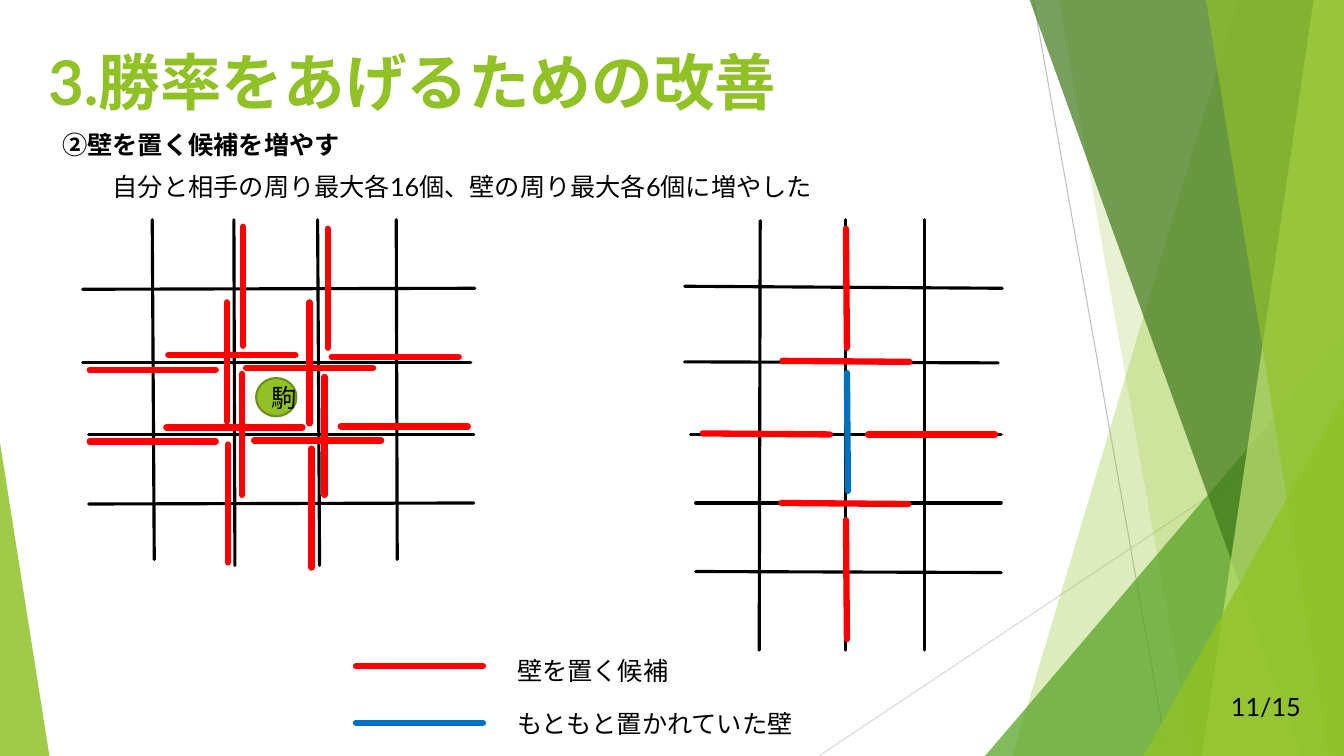
from lxml import etree
from pptx import Presentation
from pptx import util as u
from pptx.dml.color import RGBColor
from pptx.enum import lang, shapes, text
from pptx.oxml import ns

PX = 9144  # EMU per px, 100 px to the inch
WIDTH, HEIGHT = 1333, 750
FONT = "Lato"
BLACK, GREEN, RED, BLUE = "000000", "90C226", "FF0000", "0070C0"
GRID_WEIGHT, WALL_WEIGHT = 2.25, 4.5


def px(*lengths):
    return [u.Emu(length * PX) for length in lengths]


def color(hex_string):
    return RGBColor.from_string(hex_string)


def paint(shape, fill, opacity=100):
    shape.shadow.inherit = False
    shape.fill.solid()
    shape.fill.fore_color.rgb = color(fill)
    shape.line.fill.background()
    if opacity < 100:
        fill_color = shape._element.spPr.find(ns.qn("a:solidFill"))[0]
        etree.SubElement(fill_color, ns.qn("a:alpha"), val=str(opacity * 1000))


def add_line(slide, ends, line_color, weight, cap="rnd"):
    line = slide.shapes.add_connector(shapes.MSO_CONNECTOR.STRAIGHT, *px(*ends))
    line.line.color.rgb = color(line_color)
    line.line.width = u.Pt(weight)
    line.line._get_or_add_ln().set("cap", cap)
    etree.SubElement(line._element.spPr, ns.qn("a:effectLst"))


def add_lines(slide, left, top, lines, line_color, weight):
    """Draw lines whose ends are measured from (left, top)."""
    for x1, y1, x2, y2 in lines:
        ends = (left + x1, top + y1, left + x2, top + y2)
        add_line(slide, ends, line_color, weight)


def write(paragraph, words, size=18, font_color=BLACK, bold=False):
    run = paragraph.add_run()
    run.text = words
    run.font.name = FONT
    run.font.size = u.Pt(size)
    run.font.bold = bold
    run.font.color.rgb = color(font_color)
    run.font.language_id = lang.MSO_LANGUAGE_ID.JAPANESE


def add_text(slide, box, words, **style):
    shape = slide.shapes.add_textbox(*px(*box))
    shape.text_frame.word_wrap = True
    paragraph = shape.text_frame.paragraphs[0]
    write(paragraph, words, **style)
    return shape.text_frame, paragraph


def draw_background(slide):
    add_line(slide, (1025, 0, 1158, HEIGHT), "BFBFBF", 0.75, "flat")
    add_line(slide, (WIDTH, 403, 812, HEIGHT), "D9D9D9", 0.75, "flat")

    def band(top_x, bottom_x, fill, opacity):
        """Fill the area from a slanted edge to the right side of the slide."""
        builder = slide.shapes.build_freeform(top_x, -1, scale=PX)
        builder.add_line_segments([(WIDTH, -1), (WIDTH, HEIGHT), (bottom_x, HEIGHT)])
        paint(builder.convert_to_shape(), fill, opacity)

    def corner(left, top, width, apex, fill, opacity):
        """Stand a triangle on the bottom edge; apex 0 is left, 1 is right."""
        triangle = slide.shapes.add_shape(
            shapes.MSO_SHAPE.ISOSCELES_TRIANGLE, *px(left, top, width, HEIGHT - top))
        triangle.adjustments[0] = apex
        paint(triangle, fill, opacity)

    band(1228, 1004, GREEN, 30)
    band(1050, 1183, GREEN, 20)
    corner(977, 333, 356, 1, "54A021", 72)
    band(1021, 1291, "3F7819", 70)
    band(1303, 1192, "C0E474", 70)
    band(1196, 1318, GREEN, 65)
    corner(1134, 393, 199, 1, GREEN, 80)
    corner(0, 439, 49, 0, GREEN, 85)


def draw_heading(slide, left, top):
    _, title = add_text(slide, (left, top, 948, 80), "3.勝率をあげるための改善",
                        size=44, font_color=GREEN, bold=True)
    title.space_before = u.Pt(10)
    add_text(slide, (left + 14, top + 84, 519, 40), "②壁を置く候補を増やす", bold=True)
    add_text(slide, (left + 64, top + 126, 911, 40),
             "自分と相手の周り最大各16個、壁の周り最大各6個に増やした")


def draw_piece(slide, left, top):
    piece = slide.shapes.add_shape(shapes.MSO_SHAPE.OVAL, *px(left, top, 40, 38))
    paint(piece, GREEN)
    piece.line.color.rgb = color("6B901C")
    piece.line.width = u.Pt(1.5)
    piece.text_frame.vertical_anchor = text.MSO_ANCHOR.MIDDLE
    paragraph = piece.text_frame.paragraphs[0]
    paragraph.alignment = text.PP_ALIGN.CENTER
    write(paragraph, "駒")


def draw_piece_board(slide, left, top):
    """Board with the candidate walls around a piece."""
    grid = [
        (69, 0, 71, 337), (150, 0, 151, 343), (233, 0, 235, 343), (311, 0, 312, 337),
        (0, 69, 389, 68), (0, 142, 385, 142), (6, 213, 388, 213), (6, 282, 388, 281),
    ]
    upright = [(143, 82, 118), (158, 153, 120), (225, 82, 120), (240, 156, 117),
               (159, 7, 118), (243, 9, 118), (144, 223, 117), (227, 227, 118)]
    level = [(170, 219, 126), (83, 206, 135), (85, 134, 126), (162, 147, 126),
             (247, 136, 126), (256, 205, 126), (7, 149, 125), (7, 220, 125)]
    candidates = [(x, y, x, y + length) for x, y, length in upright]
    candidates += [(x, y, x + length, y) for x, y, length in level]
    add_lines(slide, left, top, grid, BLACK, GRID_WEIGHT)
    draw_piece(slide, left + 172, top + 157)
    add_lines(slide, left, top, candidates, RED, WALL_WEIGHT)


def draw_wall_board(slide, left, top):
    """Board with the candidate walls around a wall already placed."""
    grid = [
        (75, 1, 74, 427), (160, 0, 160, 427), (238, 0, 238, 427),
        (0, 66, 315, 68), (0, 141, 311, 142), (6, 213, 314, 213),
        (11, 281, 314, 281), (11, 349, 314, 350),
    ]
    candidates = [
        (160, 9, 161, 127), (160, 298, 161, 416), (97, 140, 223, 141),
        (96, 281, 222, 282), (18, 212, 144, 213), (182, 213, 308, 213),
    ]
    add_lines(slide, left, top, grid, BLACK, GRID_WEIGHT)
    add_lines(slide, left, top, candidates, RED, WALL_WEIGHT)
    add_lines(slide, left, top, [(161, 152, 162, 269)], BLUE, WALL_WEIGHT)


def draw_legend(slide, left, top):
    entries = [("壁を置く候補", RED, 201, 0, 16), ("もともと置かれていた壁", BLUE, 301, 53, 72)]
    for words, line_color, width, text_y, line_y in entries:
        add_lines(slide, left, top, [(0, line_y, 126, line_y)], line_color, WALL_WEIGHT)
        add_text(slide, (left + 150, top + text_y, width, 40), words)


def draw_page_number(slide, left, top):
    frame, paragraph = add_text(slide, (left, top, 97, 40), "11/15")
    frame.vertical_anchor = text.MSO_ANCHOR.MIDDLE
    paragraph.alignment = text.PP_ALIGN.RIGHT


def main():
    presentation = Presentation()
    presentation.slide_width, presentation.slide_height = px(WIDTH, HEIGHT)
    slide = presentation.slides.add_slide(presentation.slide_layouts[6])
    draw_background(slide)
    draw_heading(slide, 38, 39)
    draw_piece_board(slide, 82, 218)
    draw_wall_board(slide, 679, 218)
    draw_legend(slide, 353, 645)
    draw_page_number(slide, 1203, 681)
    presentation.save("out.pptx")


if __name__ == "__main__":
    main()
